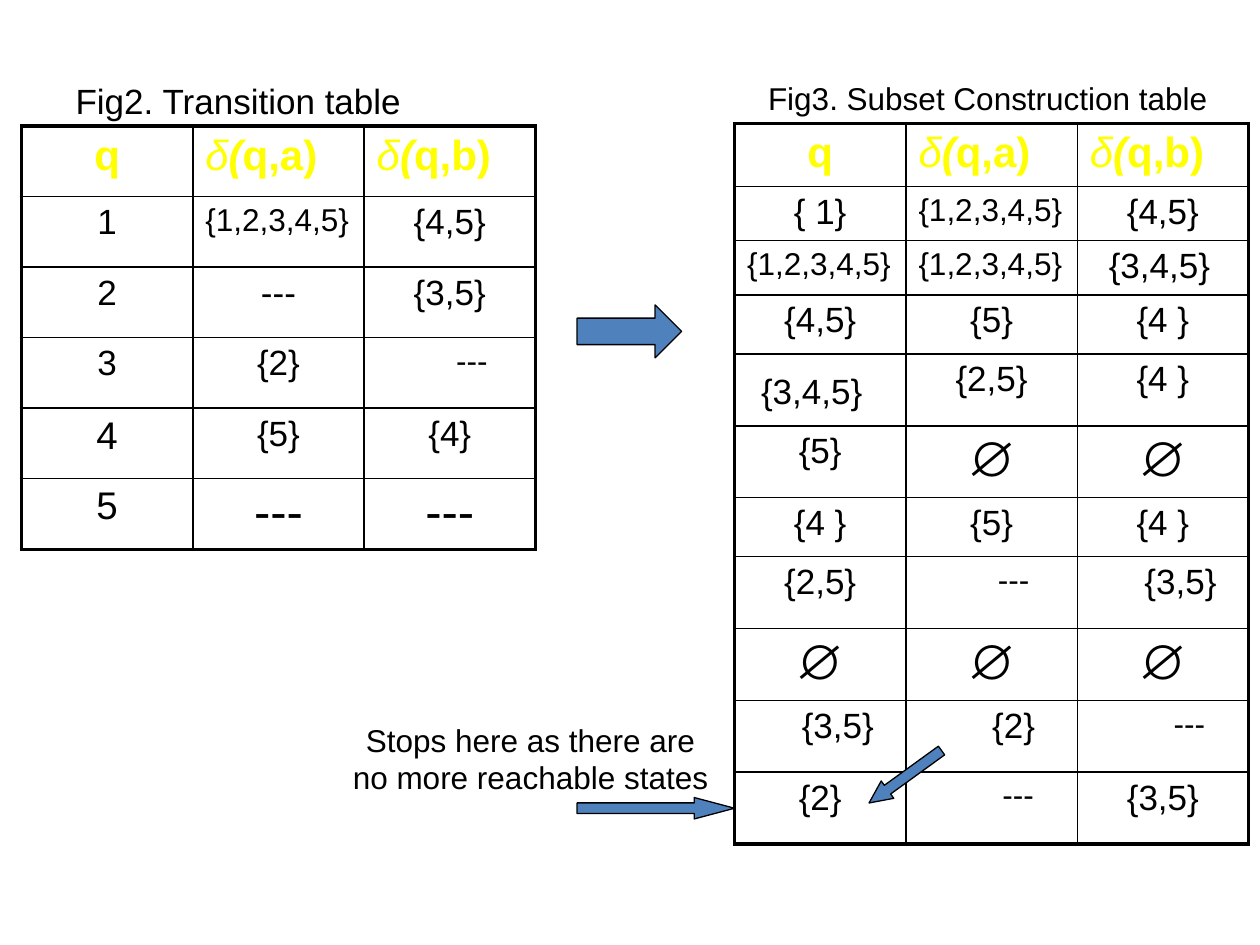
from dataclasses import dataclass

from lxml.etree import SubElement
from pptx import Presentation
from pptx.dml.color import RGBColor
from pptx.enum.shapes import MSO_SHAPE as Shape
from pptx.enum.text import MSO_ANCHOR as Anchor, MSO_AUTO_SIZE as AutoSize, PP_ALIGN as Align
from pptx.oxml.ns import qn
from pptx.util import Inches, Pt


@dataclass(frozen=True)
class Theme:
    font: str = "Arial"
    text: str = "000000"
    header: str = "FFFF00"
    arrow: str = "4F81BD"
    line: str = "000000"
    small: int = 18
    body: int = 20
    number: int = 22
    heading: int = 24
    symbol: int = 28
    arrow_line: float = 0.75
    inner_line: float = 0.96
    outer_line: float = 2.21


THEME = Theme()


@dataclass(frozen=True)
class Entry:
    text: str
    size: int = THEME.body
    indent: float = 0
    align: Align = Align.CENTER
    top: float = 0.05


# Recurring table entries
ALL_STATES = Entry("{1,2,3,4,5}", THEME.small, align=Align.LEFT)
EMPTY_SET = Entry("∅", THEME.symbol)
BIG_DASH = Entry("---", THEME.symbol)
COLUMN_WIDTH = 1.36

TRANSITIONS = [
    ["1", ALL_STATES, "{4,5}"],
    ["2", "---", "{3,5}"],
    ["3", "{2}", Entry("---", THEME.small, 0.35)],
    [Entry("4", THEME.number), "{5}", "{4}"],
    [Entry("5", THEME.number), BIG_DASH, BIG_DASH],
]
TRANSITION_HEIGHTS = [0.56] * 6

SUBSETS = [
    ["{ 1}", ALL_STATES, "{4,5}"],
    [ALL_STATES, ALL_STATES, Entry("{3,4,5}", indent=0.15, align=Align.LEFT)],
    ["{4,5}", "{5}", "{4 }"],
    [Entry("{3,4,5}", indent=0.11, align=Align.LEFT, top=0.15), "{2,5}", "{4 }"],
    ["{5}", EMPTY_SET, EMPTY_SET],
    ["{4 }", "{5}", "{4 }"],
    ["{2,5}", Entry("---", THEME.small, 0.35), Entry("{3,5}", indent=0.28)],
    [EMPTY_SET] * 3,
    [Entry("{3,5}", indent=0.28), Entry("{2}", indent=0.35),
     Entry("---", THEME.small, 0.42)],
    ["{2}", Entry("---", THEME.small, 0.42), "{3,5}"],
]
SUBSET_HEIGHTS = [0.5, 0.43, 0.43, 0.47, 0.57, 0.57, 0.47, 0.57, 0.57, 0.57, 0.57]


def add_run(paragraph, text, size, color=THEME.text, bold=False, italic=False):
    run = paragraph.add_run()
    run.text = text
    run.font.name = THEME.font
    run.font.size = Pt(size)
    run.font.bold = bold
    run.font.italic = italic
    run.font.color.rgb = RGBColor.from_string(color)


def set_indent(paragraph, left):
    properties = paragraph._p.get_or_add_pPr()
    properties.set("marL", str(Inches(left)))
    properties.set("indent", "0")
    return properties


def set_borders(cell, widths):
    properties = cell._tc.get_or_add_tcPr()
    for side, width in zip("LRTB", widths):
        line = SubElement(properties, qn(f"a:ln{side}"), w=str(Pt(width)))
        fill = SubElement(line, qn("a:solidFill"))
        SubElement(fill, qn("a:srgbClr"), val=THEME.line)


def fill_header(cell, symbol):
    paragraph = cell.text_frame.paragraphs[0]
    style = {"size": THEME.heading, "color": THEME.header}
    if symbol:
        add_run(paragraph, "δ", italic=True, **style)
        add_run(paragraph, "(", bold=True, italic=True, **style)
        add_run(paragraph, f"q,{symbol})", bold=True, **style)
    else:
        paragraph.alignment = Align.CENTER
        add_run(paragraph, "q", bold=True, **style)


def fill_entry(cell, entry):
    if isinstance(entry, str):
        entry = Entry(entry)
    cell.margin_top = Inches(entry.top)
    paragraph = cell.text_frame.paragraphs[0]
    paragraph.alignment = entry.align
    if entry.indent:
        set_indent(paragraph, entry.indent)
    add_run(paragraph, entry.text, entry.size)


def add_state_table(slide, left, top, entries, heights):
    rows, columns = len(heights), 3
    table = slide.shapes.add_table(
        rows, columns, Inches(left), Inches(top),
        Inches(columns * COLUMN_WIDTH), Inches(sum(heights))).table
    table.first_row = table.horz_banding = False
    for column in table.columns:
        column.width = Inches(COLUMN_WIDTH)
    for row, height in zip(table.rows, heights):
        row.height = Inches(height)

    for column, symbol in enumerate(["", "a", "b"]):
        fill_header(table.cell(0, column), symbol)
    for row, values in enumerate(entries, start=1):
        for column, entry in enumerate(values):
            fill_entry(table.cell(row, column), entry)

    # Thick frame, thin inner grid
    for row in range(rows):
        for column in range(columns):
            edges = (column == 0, column == columns - 1, row == 0, row == rows - 1)
            cell = table.cell(row, column)
            set_borders(cell, [THEME.outer_line if edge else THEME.inner_line
                               for edge in edges])
            cell.fill.background()


def add_label(slide, text, left, top, width, height, wrap):
    box = slide.shapes.add_textbox(
        Inches(left), Inches(top), Inches(width), Inches(height))
    box.text_frame.word_wrap = wrap
    paragraph = box.text_frame.paragraphs[0]
    paragraph.alignment = Align.CENTER
    add_run(paragraph, text, THEME.small)


def add_arrow(slide, kind, left, top, width, height, head=0.5, rotation=0):
    arrow = slide.shapes.add_shape(
        kind, Inches(left), Inches(top), Inches(width), Inches(height))
    arrow.adjustments[1] = head
    arrow.rotation = rotation
    arrow.shadow.inherit = False
    arrow.fill.solid()
    arrow.fill.fore_color.rgb = RGBColor.from_string(THEME.arrow)
    arrow.line.color.rgb = RGBColor.from_string(THEME.line)
    arrow.line.width = Pt(THEME.arrow_line)


def fill_body(slide, text):
    title, body = slide.shapes.title, slide.placeholders[1]
    title.element.getparent().remove(title.element)
    body.left, body.top = Inches(0.5), Inches(0.58)
    body.width, body.height = Inches(9), Inches(4.95)
    frame = body.text_frame
    frame.auto_size = AutoSize.NONE
    frame.vertical_anchor = Anchor.TOP
    paragraph = frame.paragraphs[0]
    paragraph.space_before = Pt(0)
    SubElement(set_indent(paragraph, 0), qn("a:buNone"))
    add_run(paragraph, text, THEME.body)


def main():
    presentation = Presentation()
    presentation.slide_width, presentation.slide_height = Inches(10), Inches(7.5)
    slide = presentation.slides.add_slide(presentation.slide_layouts[1])

    # Transition table
    fill_body(slide, "Fig2. Transition table")
    add_state_table(slide, 0.17, 1, TRANSITIONS, TRANSITION_HEIGHTS)

    # Subset construction table
    add_state_table(slide, 5.83, 0.98, SUBSETS, SUBSET_HEIGHTS)
    add_arrow(slide, Shape.RIGHT_ARROW, 4.58, 2.42, 0.83, 0.42)
    add_label(slide, "Fig3. Subset Construction table", 5.94, 0.58, 3.8, 0.4, wrap=False)

    # Stopping point
    add_arrow(slide, Shape.DOWN_ARROW, 7.1, 5.81, 0.17, 0.71, head=1.06, rotation=54.1)
    add_arrow(slide, Shape.RIGHT_ARROW, 4.58, 6.33, 1.25, 0.17, head=1.88)
    add_label(slide, "Stops here as there are no more reachable states",
              2.67, 5.67, 3.08, 0.7, wrap=True)

    presentation.save("out.pptx")


if __name__ == "__main__":
    main()
